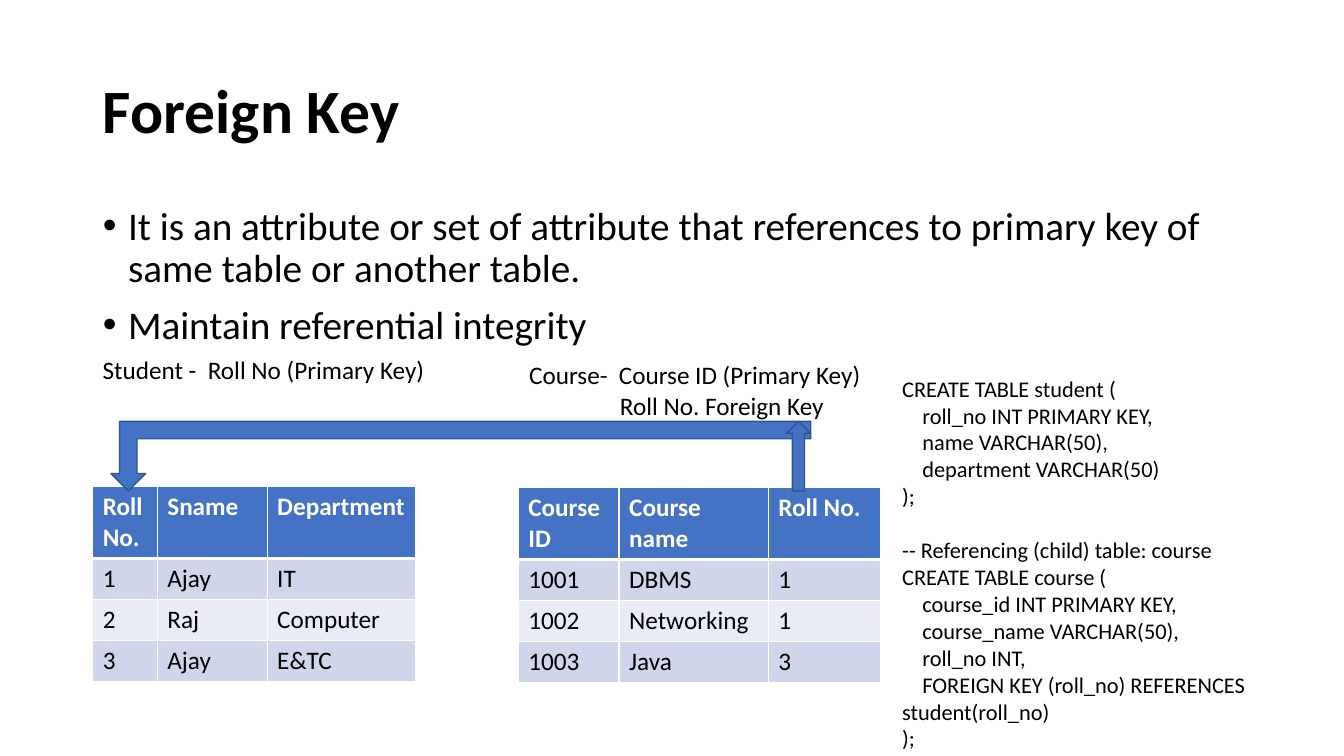
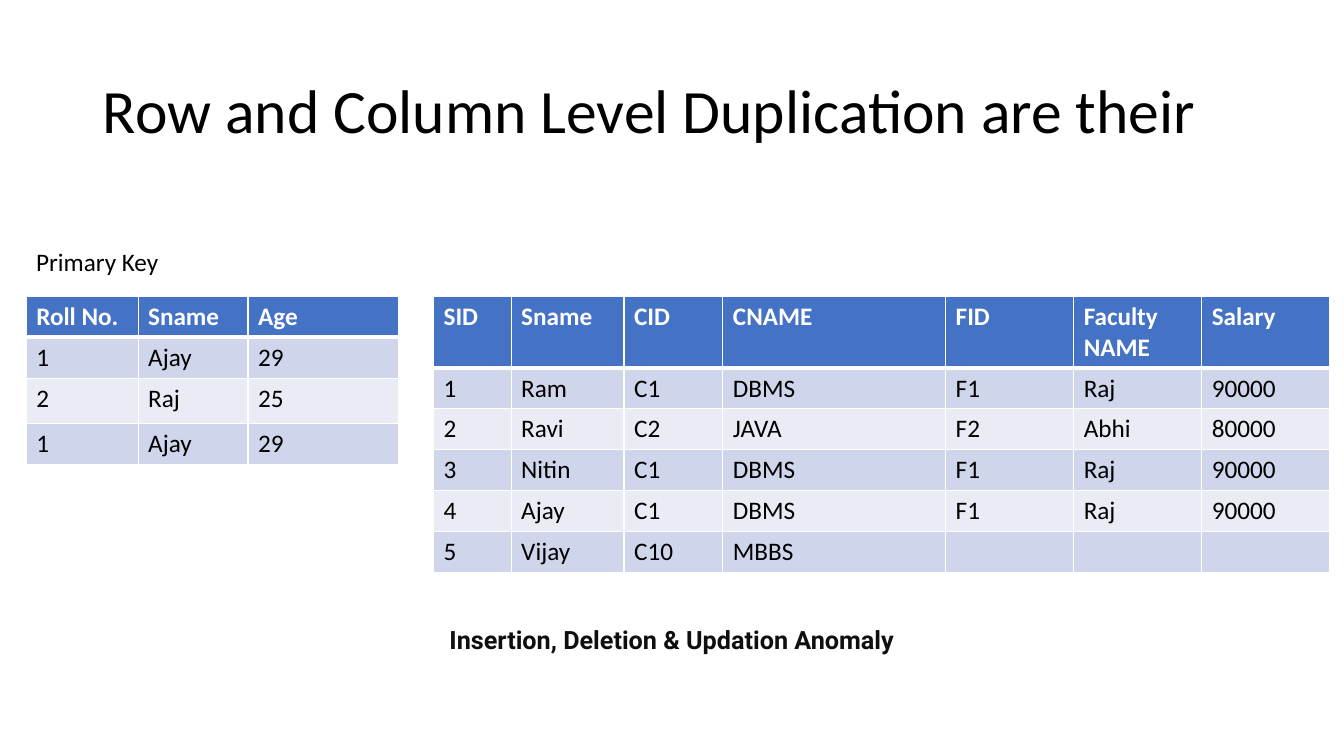
"""Build two slides on foreign keys and duplicated table data."""
from lxml import etree
from pptx import Presentation
from pptx.dml.color import RGBColor
from pptx.enum.shapes import MSO_SHAPE as Shape
from pptx.enum.text import MSO_ANCHOR as Anchor, MSO_AUTO_SIZE as AutoSize, PP_ALIGN as Align
from pptx.oxml.ns import qn
from pptx.util import Pt

PX = 9144
COLORS = {
    "ink": "000000",
    "note": "0F0F0F",
    "header": "4472C4",
    "header_text": "FFFFFF",
    "rule": "FFFFFF",
    "odd_row": "CFD5EA",
    "even_row": "E9EBF5",
    "arrow_edge": "325491",
}


def add_text(frame, text, *, size=18, font="Calibri", color="ink", bold=False,
             margin=0, first=0, before=0, spacing=None):
    paragraph = frame.add_paragraph() if frame.text else frame.paragraphs[0]
    paragraph.alignment = Align.LEFT
    paragraph.space_before = Pt(before)
    if spacing:
        paragraph.line_spacing = spacing
    properties = paragraph._p.get_or_add_pPr()
    properties.set("marL", str(margin * PX))
    properties.set("indent", str(first * PX))
    run = paragraph.add_run()
    run.text = text
    run.font.size = Pt(size)
    run.font.name = font
    run.font.bold = bold
    run.font.color.rgb = RGBColor.from_string(COLORS[color])


def add_label(slide, left, top, width, height):
    frame = slide.shapes.add_textbox(left * PX, top * PX, width * PX, height * PX).text_frame
    frame.word_wrap = True
    return frame


deck = Presentation()
deck.slide_width, deck.slide_height = 1333 * PX, 750 * PX

slides = []
for layout, heading, bold in [
    (1, "Foreign Key", True),
    (5, "Row and Column Level Duplication are their", False),
]:
    slide = deck.slides.add_slide(deck.slide_layouts[layout])
    title = slide.shapes.title
    title.left, title.top, title.width, title.height = 92 * PX, 40 * PX, 1150 * PX, 145 * PX
    title.text_frame.vertical_anchor = Anchor.MIDDLE
    title.text_frame.auto_size = AutoSize.NONE
    add_text(title.text_frame, heading, size=44, bold=bold, spacing=0.9)
    slides.append(slide)
key_slide, duplication_slide = slides

definition = key_slide.placeholders[1]
definition.left, definition.top = 92 * PX, 200 * PX
definition.width, definition.height = 1150 * PX, 476 * PX
definition.text_frame.auto_size = AutoSize.NONE
for point in [
    "It is an attribute or set of attribute that references to primary key of same table or another table.",
    "Maintain referential integrity",
]:
    add_text(definition.text_frame, point, size=28, margin=25, first=-25, before=10, spacing=0.9)

student = [
    ["Roll No.", "Sname", "Department"],
    ["1", "Ajay", "IT"],
    ["2", "Raj", "Computer"],
    ["3", "Ajay", "E&TC"],
]
course = [
    ["Course ID", "Course name", "Roll No."],
    ["1001", "DBMS", "1"],
    ["1002", "Networking", "1"],
    ["1003", "Java", "3"],
]
repeated_rows = [
    ["Roll No.", "Sname", "Age"],
    ["1", "Ajay", "29"],
    ["2", "Raj", "25"],
    ["1", "Ajay", "29"],
]
repeated_columns = [
    ["SID", "Sname", "CID", "CNAME", "FID", "Faculty NAME", "Salary"],
    ["1", "Ram", "C1", "DBMS", "F1", "Raj", "90000"],
    ["2", "Ravi", "C2", "JAVA", "F2", "Abhi", "80000"],
    ["3", "Nitin", "C1", "DBMS", "F1", "Raj", "90000"],
    ["4", "Ajay", "C1", "DBMS", "F1", "Raj", "90000"],
    ["5", "Vijay", "C10", "MBBS", "", "", ""],
]
for slide, left, top, widths, heights, records in [
    (key_slide, 92, 483, [64, 109, 147], [40] * 4, student),
    (key_slide, 514, 484, [100, 148, 111], [40] * 4, course),
    (duplication_slide, 26, 294, [111, 109, 149], [40, 40, 45, 40], repeated_rows),
    (duplication_slide, 430, 294, [77, 112, 98, 221, 127, 127, 127], [40] * 6, repeated_columns),
]:
    grid = slide.shapes.add_table(len(records), len(widths), left * PX, top * PX,
                                  sum(widths) * PX, sum(heights) * PX).table
    for column, width in zip(grid.columns, widths):
        column.width = width * PX
    for number, (row, height, record) in enumerate(zip(grid.rows, heights, records)):
        row.height = height * PX
        is_header = number == 0
        band = "header" if is_header else "odd_row" if number % 2 else "even_row"
        for cell, value in zip(row.cells, record):
            cell.fill.solid()
            cell.fill.fore_color.rgb = RGBColor.from_string(COLORS[band])
            edges = {"lnL": 1, "lnR": 1, "lnT": 3 if number == 1 else 1, "lnB": 3 if is_header else 1}
            for position, (edge, points) in enumerate(edges.items()):
                rule = etree.Element(qn(f"a:{edge}"), w=str(Pt(points)))
                paint = etree.SubElement(rule, qn("a:solidFill"))
                etree.SubElement(paint, qn("a:srgbClr"), val=COLORS["rule"])
                cell._tc.get_or_add_tcPr().insert(position, rule)
            if value:
                add_text(cell.text_frame, value, bold=is_header,
                         color="header_text" if is_header else "ink")

add_text(add_label(key_slide, 92, 347, 345, 40), "Student -  Roll No (Primary Key)")
course_keys = add_label(key_slide, 515, 352, 360, 71)
add_text(course_keys, "Course-  Course ID (Primary Key)")
add_text(course_keys, "Roll No. Foreign Key", margin=90)

for outline, left, width, turn in [
    (Shape.BENT_UP_ARROW, 110, 694, 180),
    (Shape.UP_ARROW, 780, 24, 0),
]:
    arrow = key_slide.shapes.add_shape(outline, left * PX, 418 * PX, width * PX, 69 * PX)
    arrow.rotation = turn
    arrow.shadow.inherit = False
    arrow.fill.solid()
    arrow.fill.fore_color.rgb = RGBColor.from_string(COLORS["header"])
    arrow.line.color.rgb = RGBColor.from_string(COLORS["arrow_edge"])
    arrow.line.width = Pt(1)

statements = add_label(key_slide, 885, 367, 449, 387)
for code, first, before in [
    ("CREATE TABLE student (", 0, 0),
    ("roll_no INT PRIMARY KEY,", 20, 0),
    ("name VARCHAR(50),", 20, 0),
    ("department VARCHAR(50)", 20, 0),
    (");", 0, 0),
    ("-- Referencing (child) table: course", 0, 19.5),
    ("CREATE TABLE course (", 0, 0),
    ("course_id INT PRIMARY KEY,", 20, 0),
    ("course_name VARCHAR(50),", 20, 0),
    ("roll_no INT,", 20, 0),
    ("FOREIGN KEY (roll_no) REFERENCES student(roll_no)", 20, 0),
    (");", 0, 0),
]:
    add_text(statements, code, size=16, first=first, before=before)

add_text(add_label(duplication_slide, 26, 239, 145, 40), "Primary Key")
add_text(add_label(duplication_slide, 430, 614, 667, 40), "Insertion, Deletion & Updation Anomaly",
         font="Roboto", color="note", bold=True, margin=6)

deck.save("out.pptx")
